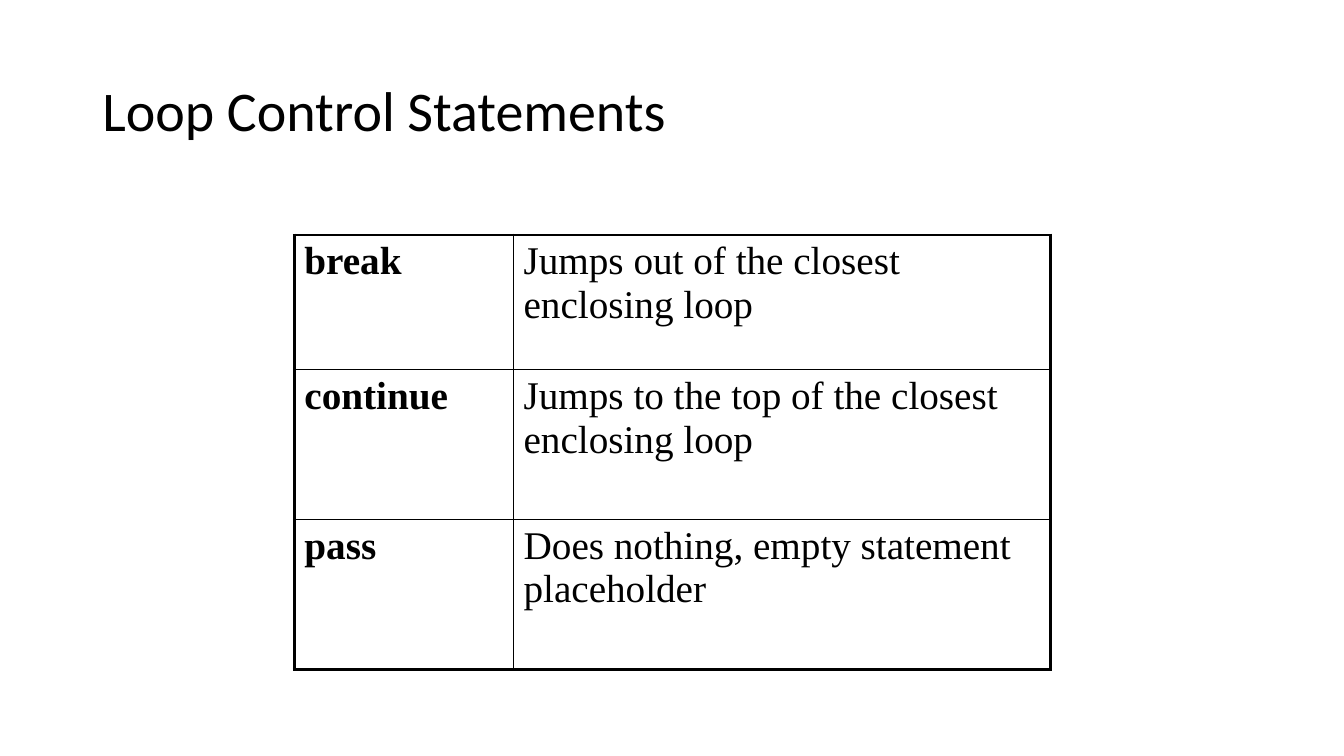
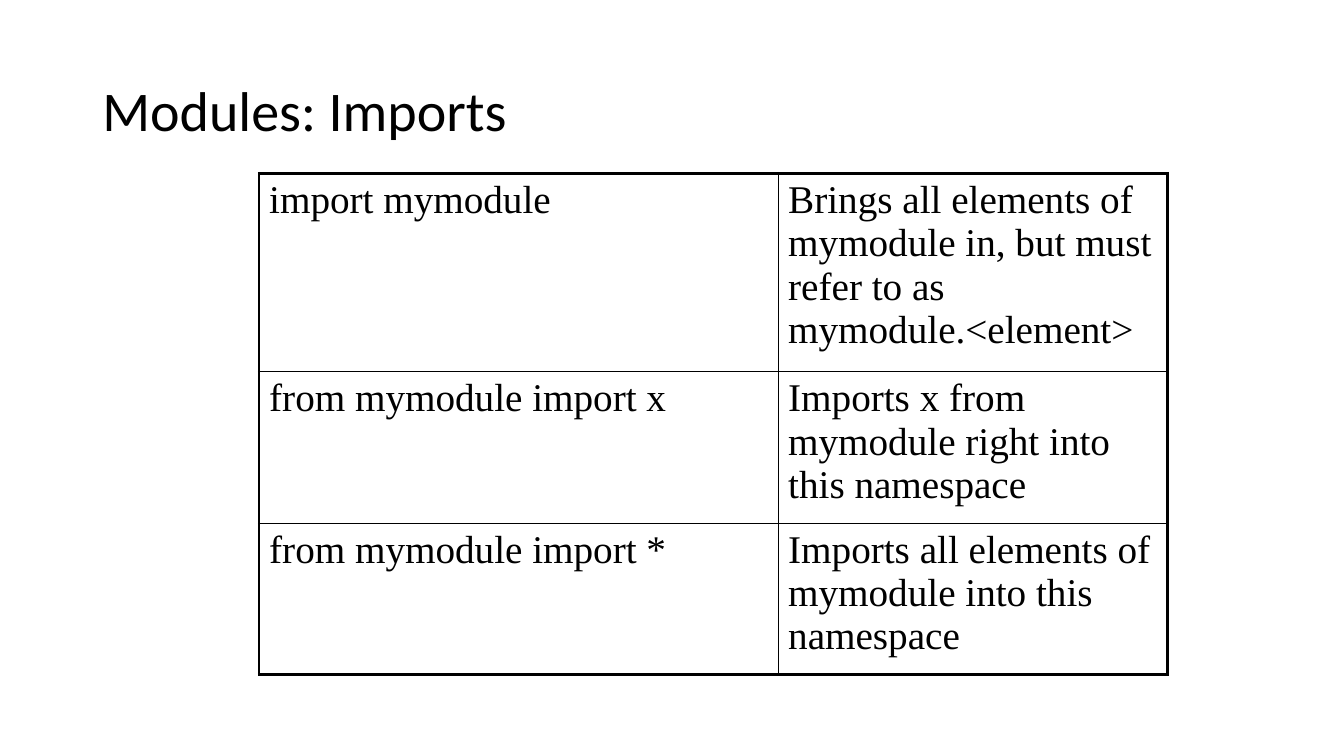
from dataclasses import dataclass

from lxml.etree import SubElement
from pptx import Presentation
from pptx.dml.color import RGBColor
from pptx.enum.text import MSO_ANCHOR as Anchor
from pptx.oxml.ns import qn
from pptx.util import Inches, Pt

SLIDES = [
    {
        "title": "Loop Control Statements",
        "area": (21.9, 31.07, 56.25, 57.47),
        "columns": (29, 71),
        "rows": (9, 10, 10),
        "bold_terms": True,
        "cells": [
            ("break", "Jumps out of the closest enclosing loop"),
            ("continue", "Jumps to the top of the closest enclosing loop"),
            ("pass", "Does nothing, empty statement placeholder"),
        ],
    },
    {
        "title": "Modules: Imports",
        "area": (19.28, 22.93, 67.58, 66.27),
        "columns": (4, 3),
        "rows": (21, 16, 16),
        "bold_terms": False,
        "cells": [
            ("import mymodule",
             "Brings all elements of mymodule in, but must refer to as mymodule.<element>"),
            ("from mymodule import x",
             "Imports x from mymodule right into this namespace"),
            ("from mymodule import *",
             "Imports all elements of mymodule into this namespace"),
        ],
    },
]
TITLE_AREA = (6.88, 5.33, 86.25, 19.33)


@dataclass(frozen=True)
class Theme:
    ink: str = "000000"
    title_font: str = "Calibri"
    title_size: float = 40
    table_font: str = "Times New Roman"
    table_size: float = 28
    outer_line: float = 2.25
    inner_line: float = 1


THEME = Theme()

presentation = Presentation()
presentation.slide_width, presentation.slide_height = Inches(13.33), Inches(7.5)


def place(area):
    sides = (presentation.slide_width, presentation.slide_height) * 2
    return [round(side * percent / 100) for side, percent in zip(sides, area)]


def share(total, weights):
    return [round(total * weight / sum(weights)) for weight in weights]


def write(frame, text, font, size, bold=False, line_spacing=None):
    frame.word_wrap = True
    paragraph = frame.paragraphs[0]
    paragraph.line_spacing = line_spacing
    run = paragraph.add_run()
    run.text = text
    run.font.name, run.font.size, run.font.bold = font, Pt(size), bold
    run.font.color.rgb = RGBColor.from_string(THEME.ink)


def draw_borders(cell, outer_sides):
    properties = cell._tc.get_or_add_tcPr()
    for side, is_outer in outer_sides.items():
        width = THEME.outer_line if is_outer else THEME.inner_line
        line = SubElement(properties, qn(f"a:ln{side}"), w=str(Pt(width)))
        fill = SubElement(line, qn("a:solidFill"))
        SubElement(fill, qn("a:srgbClr"), val=THEME.ink)


def add_title(slide, text):
    frame = slide.shapes.add_textbox(*place(TITLE_AREA)).text_frame
    frame.vertical_anchor = Anchor.MIDDLE
    write(frame, text, THEME.title_font, THEME.title_size, line_spacing=0.9)


def add_definitions(slide, content):
    left, top, width, height = place(content["area"])
    last_row, last_column = len(content["rows"]) - 1, len(content["columns"]) - 1
    table = slide.shapes.add_table(
        last_row + 1, last_column + 1, left, top, width, height).table
    table.first_row = table.horz_banding = False
    for column, size in zip(table.columns, share(width, content["columns"])):
        column.width = size
    for row, size in zip(table.rows, share(height, content["rows"])):
        row.height = size
    for r, texts in enumerate(content["cells"]):
        for c, text in enumerate(texts):
            cell = table.cell(r, c)
            draw_borders(cell, {"L": c == 0, "R": c == last_column,
                                "T": r == 0, "B": r == last_row})
            cell.fill.background()
            write(cell.text_frame, text, THEME.table_font, THEME.table_size,
                  bold=content["bold_terms"] and c == 0)


for content in SLIDES:
    slide = presentation.slides.add_slide(presentation.slide_layouts[6])
    add_title(slide, content["title"])
    add_definitions(slide, content)

presentation.save("out.pptx")
